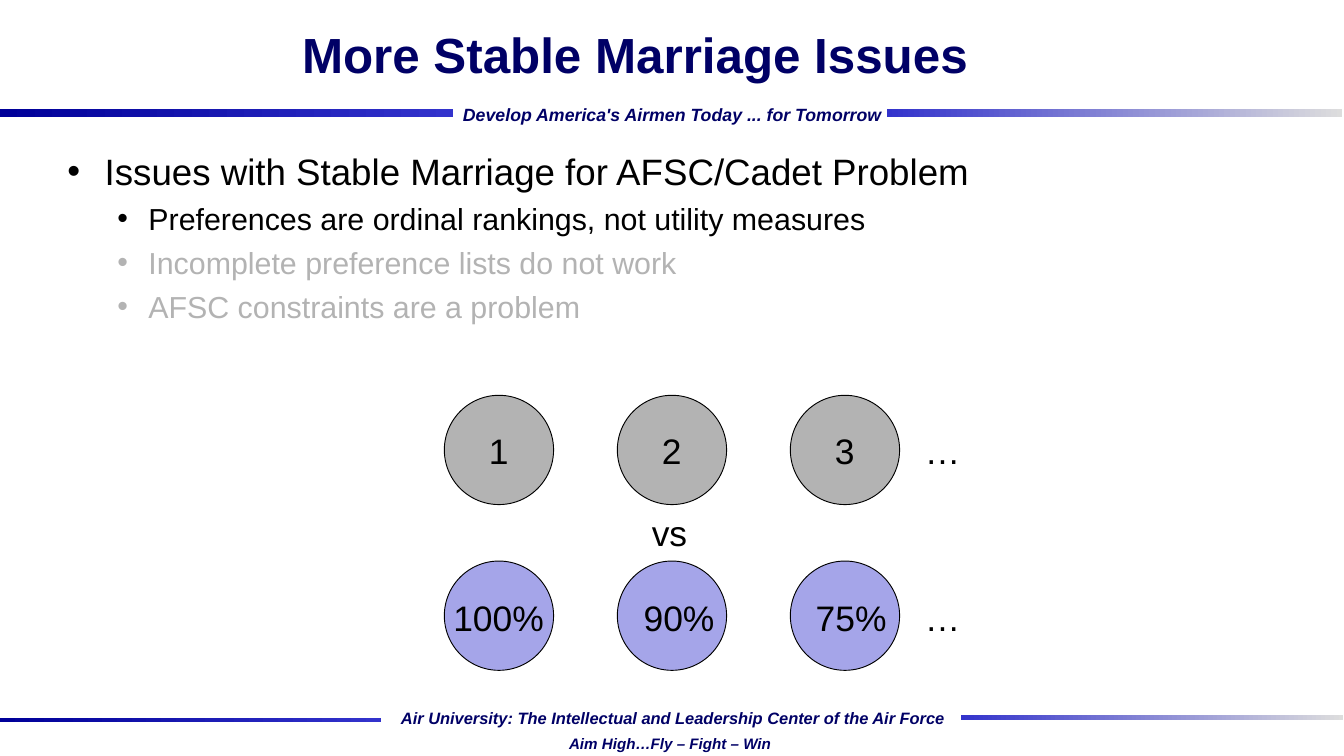
from dataclasses import dataclass

import lxml.etree
import pptx
import pptx.dml.color
import pptx.enum.shapes
import pptx.enum.text
import pptx.oxml.ns
import pptx.util

RGBColor = pptx.dml.color.RGBColor
NAVY = RGBColor(0x00, 0x00, 0x66)
DEEP_BLUE = RGBColor(0x00, 0x00, 0x99)
BLUE = RGBColor(0x33, 0x33, 0xCC)
PALE = RGBColor(0xDD, 0xDD, 0xDD)
BLACK = RGBColor(0x00, 0x00, 0x00)
GREY = RGBColor(0xB3, 0xB3, 0xB3)
LILAC = RGBColor(0xA5, 0xA5, 0xE9)

EMU_PER_PX = 9144  # 100 px to the inch
FONT = "Arial"
CIRCLE_SIZE = 120
CIRCLE_LEFT = 488
CIRCLE_STEP = 190
LABEL_HEIGHT = 57


@dataclass
class Box:
    left: int
    top: int
    width: int
    height: int

    def emu(self) -> list[int]:
        return [px(n) for n in (self.left, self.top, self.width, self.height)]


@dataclass
class Bar:
    box: Box
    start: RGBColor
    end: RGBColor


@dataclass
class Motto:
    text: str
    box: Box
    size: int


@dataclass
class Bullet:
    text: str
    level: int
    size: int
    color: RGBColor
    space_before: int


@dataclass
class Label:
    text: str
    offset: int  # from the left edge of its circle
    width: int


@dataclass
class Ranking:
    circle_top: int
    label_top: int
    fill: RGBColor
    labels: list[Label]


BARS = [
    Bar(Box(974, 120, 500, 9), BLUE, PALE),
    Bar(Box(0, 120, 498, 9), DEEP_BLUE, BLUE),
    Bar(Box(0, 788, 418, 5), DEEP_BLUE, BLUE),
    Bar(Box(1055, 785, 420, 5), BLUE, PALE),
]
MOTTOS = [
    Motto("Develop America's Airmen Today ... for Tomorrow", Box(497, 109, 483, 34), 14),
    Motto("Air University: The Intellectual and Leadership Center of the Air Force",
          Box(426, 772, 625, 31), 13),
    Motto("Aim High…Fly – Fight – Win", Box(612, 801, 248, 29), 12),
]
BULLETS = [
    Bullet("Issues with Stable Marriage for AFSC/Cadet Problem", 0, 29, BLACK, 0),
    Bullet("Preferences are ordinal rankings, not utility measures", 1, 24, BLACK, 6),
    Bullet("Incomplete preference lists do not work", 1, 24, GREY, 6),
    Bullet("AFSC constraints are a problem", 1, 24, GREY, 6),
]
INDENTS = {0: (41, -41), 1: (89, -34)}  # left margin and first line, by level
RANKINGS = [
    Ranking(434, 466, GREY, [Label(number, 39, 42) for number in "123"]),
    Ranking(616, 649, LILAC,
            [Label("100%", 0, 121), Label("90%", 19, 101), Label("75%", 18, 101)]),
]


def px(length: int) -> int:
    return pptx.util.Emu(length * EMU_PER_PX)


def format_runs(paragraph, size: int, color: RGBColor,
                bold: bool = False, italic: bool = False) -> None:
    for run in paragraph.runs:
        run.font.name = FONT
        run.font.size = pptx.util.Pt(size)
        run.font.color.rgb = color
        run.font.bold = bold
        run.font.italic = italic


def place(shape, box: Box) -> None:
    shape.left, shape.top, shape.width, shape.height = box.emu()


def draw_bar(slide, bar: Bar) -> None:
    band = slide.shapes.add_shape(pptx.enum.shapes.MSO_SHAPE.RECTANGLE, *bar.box.emu())
    band.shadow.inherit = False
    band.line.fill.background()
    band.fill.gradient()
    band.fill.gradient_angle = 0
    for stop, color in zip(band.fill.gradient_stops, (bar.start, bar.end)):
        stop.color.rgb = color


def draw_motto(slide, motto: Motto) -> None:
    frame = slide.shapes.add_textbox(*motto.box.emu()).text_frame
    frame.word_wrap = False
    frame.text = motto.text
    frame.paragraphs[0].alignment = pptx.enum.text.PP_ALIGN.CENTER
    format_runs(frame.paragraphs[0], motto.size, NAVY, bold=True, italic=True)


def draw_label(slide, text: str, box: Box) -> None:
    frame = slide.shapes.add_textbox(*box.emu()).text_frame
    frame.word_wrap = True
    frame.text = text
    format_runs(frame.paragraphs[0], 28, BLACK)


def fill_title(title) -> None:
    place(title, Box(126, 0, 1143, 117))
    frame = title.text_frame
    frame.auto_size = pptx.enum.text.MSO_AUTO_SIZE.NONE
    frame.vertical_anchor = pptx.enum.text.MSO_ANCHOR.MIDDLE
    frame.text = "More Stable Marriage Issues"
    frame.paragraphs[0].alignment = pptx.enum.text.PP_ALIGN.CENTER
    format_runs(frame.paragraphs[0], 39, NAVY, bold=True)


def fill_issues(issues) -> None:
    place(issues, Box(63, 158, 1269, 607))
    frame = issues.text_frame
    frame.auto_size = pptx.enum.text.MSO_AUTO_SIZE.NONE
    frame.margin_left = frame.margin_right = px(11)
    frame.text = "\n".join(bullet.text for bullet in BULLETS)
    for paragraph, bullet in zip(frame.paragraphs, BULLETS):
        paragraph.level = bullet.level
        paragraph.space_before = pptx.util.Pt(bullet.space_before)
        margin, indent = INDENTS[bullet.level]
        properties = paragraph._p.get_or_add_pPr()
        properties.set("marL", str(px(margin)))
        properties.set("indent", str(px(indent)))
        qn = pptx.oxml.ns.qn
        lxml.etree.SubElement(properties, qn("a:buFont"), typeface=FONT)
        lxml.etree.SubElement(properties, qn("a:buChar"), char="•")
        format_runs(paragraph, bullet.size, bullet.color)


def draw_ranking(slide, ranking: Ranking) -> None:
    for column, label in enumerate(ranking.labels):
        left = CIRCLE_LEFT + column * CIRCLE_STEP
        circle = slide.shapes.add_shape(
            pptx.enum.shapes.MSO_SHAPE.OVAL,
            *Box(left, ranking.circle_top, CIRCLE_SIZE, CIRCLE_SIZE).emu())
        circle.shadow.inherit = False
        circle.fill.solid()
        circle.fill.fore_color.rgb = ranking.fill
        circle.line.color.rgb = BLACK
        circle.line.width = pptx.util.Pt(0.75)
        draw_label(slide, label.text,
                   Box(left + label.offset, ranking.label_top, label.width, LABEL_HEIGHT))
    draw_label(slide, "…", Box(1006, ranking.label_top, 54, LABEL_HEIGHT))


def main() -> None:
    presentation = pptx.Presentation()
    presentation.slide_width = px(1476)
    presentation.slide_height = px(830)
    slide = presentation.slides.add_slide(presentation.slide_layouts[1])

    # Title and list
    fill_title(slide.shapes.title)
    fill_issues(slide.placeholders[1])

    # Header and footer bands
    for bar in BARS:
        draw_bar(slide, bar)
    for motto in MOTTOS:
        draw_motto(slide, motto)

    # Ordinal ranks against utilities
    for ranking in RANKINGS:
        draw_ranking(slide, ranking)
    draw_label(slide, "vs", Box(706, 556, 64, LABEL_HEIGHT))

    presentation.save("out.pptx")


if __name__ == "__main__":
    main()
